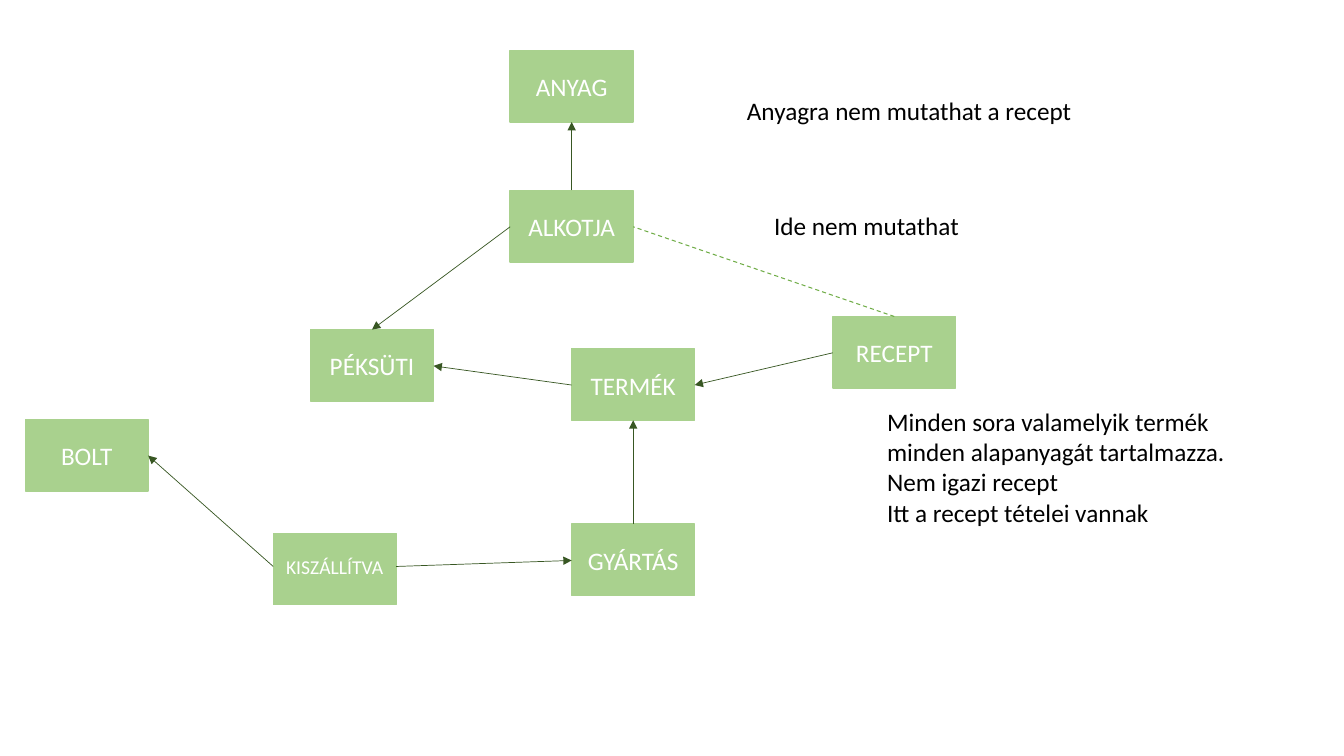
from lxml import etree
from pptx import Presentation
from pptx import util as u
from pptx.dml.color import RGBColor
from pptx.enum import dml, shapes, text
from pptx.oxml.ns import qn

TOP, LEFT, BOTTOM, RIGHT = range(4)


class Board:
    font = "Calibri"
    colors = {"box": "A9D18E", "arrow": "385723", "dash": "70AD47",
              "label": "FFFFFF", "note": "000000"}
    wide, high, inset = 1.22, 0.71, 0.16

    def __init__(self, slide):
        self.slide = slide

    def color(self, name):
        return RGBColor.from_string(self.colors[name])

    def style(self, para, size, name):
        para.font.name = self.font
        para.font.size = u.Pt(size)
        para.font.color.rgb = self.color(name)

    def rect(self, group, x, y, high, weight):
        rect = group.shapes.add_shape(
            shapes.MSO_SHAPE.RECTANGLE, u.Inches(x), u.Inches(y),
            u.Inches(self.wide), u.Inches(high))
        rect.shadow.inherit = False
        rect.fill.solid()
        rect.fill.fore_color.rgb = self.color("box")
        rect.line.color.rgb = self.color("box")
        rect.line.width = u.Pt(weight)
        return rect

    def box(self, title, x, y, size=18):
        group = self.slide.shapes.add_group_shape()
        frame = self.rect(group, x, y, self.high, 1)
        high = 0.4 if size == 18 else 0.34
        label = self.rect(group, x, y + self.inset, high, 0.75)
        body = label.text_frame
        body.word_wrap = True
        body.auto_size = text.MSO_AUTO_SIZE.SHAPE_TO_FIT_TEXT
        body.text = title
        para = body.paragraphs[0]
        para.alignment = text.PP_ALIGN.CENTER
        self.style(para, size, "label")
        return frame, label

    def link(self, start, begin, end, finish, dashed=False):
        line = self.slide.shapes.add_connector(
            shapes.MSO_CONNECTOR.STRAIGHT, 0, 0, 0, 0)
        line.begin_connect(start[begin in (LEFT, RIGHT)], begin)
        line.end_connect(end[finish in (LEFT, RIGHT)], finish)
        line.line.color.rgb = self.color("dash" if dashed else "arrow")
        line.line.width = u.Pt(0.75 if dashed else 0.5)
        if dashed:
            line.line.dash_style = dml.MSO_LINE.DASH
        else:
            pen = line.line._get_or_add_ln()
            etree.SubElement(pen, qn("a:tailEnd"), type="triangle")
        etree.SubElement(line._element.spPr, qn("a:effectLst"))

    def note(self, lines, x, y, wide, high):
        note = self.slide.shapes.add_textbox(
            u.Inches(x), u.Inches(y), u.Inches(wide), u.Inches(high))
        body = note.text_frame
        body.word_wrap = False
        body.auto_size = text.MSO_AUTO_SIZE.SHAPE_TO_FIT_TEXT
        body.text = "\n".join(lines)
        for para in body.paragraphs:
            self.style(para, 18, "note")


def main():
    deck = Presentation()
    deck.slide_width = u.Inches(13.33)
    deck.slide_height = u.Inches(7.5)
    board = Board(deck.slides.add_slide(deck.slide_layouts[6]))

    product = board.box("TERMÉK", 5.67, 3.46)
    recipe = board.box("RECEPT", 8.26, 3.14)
    pastry = board.box("PÉKSÜTI", 3.08, 3.27)
    matter = board.box("ANYAG", 5.06, 0.5)
    maker = board.box("ALKOTJA", 5.06, 1.89)
    batch = board.box("GYÁRTÁS", 5.67, 5.2)
    shop = board.box("BOLT", 0.25, 4.16)
    order = board.box("KISZÁLLÍTVA", 2.71, 5.29, 14)

    board.link(recipe, LEFT, product, RIGHT)
    board.link(product, LEFT, pastry, RIGHT)
    board.link(maker, LEFT, pastry, TOP)
    board.link(maker, TOP, matter, BOTTOM)
    board.link(recipe, TOP, maker, RIGHT, dashed=True)
    board.link(batch, TOP, product, BOTTOM)
    board.link(order, LEFT, shop, RIGHT)
    board.link(order, RIGHT, batch, LEFT)

    board.note(["Ide nem mutathat"], 7.58, 2.04, 2.06, 0.4)
    board.note(["Anyagra nem mutathat a recept"], 7.31, 0.9, 3.46, 0.4)
    board.note(["Minden sora valamelyik termék",
                "minden alapanyagát tartalmazza.",
                "Nem igazi recept",
                "Itt a recept tételei vannak"], 8.7, 3.98, 3.59, 1.31)
    deck.save("out.pptx")


if __name__ == "__main__":
    main()
